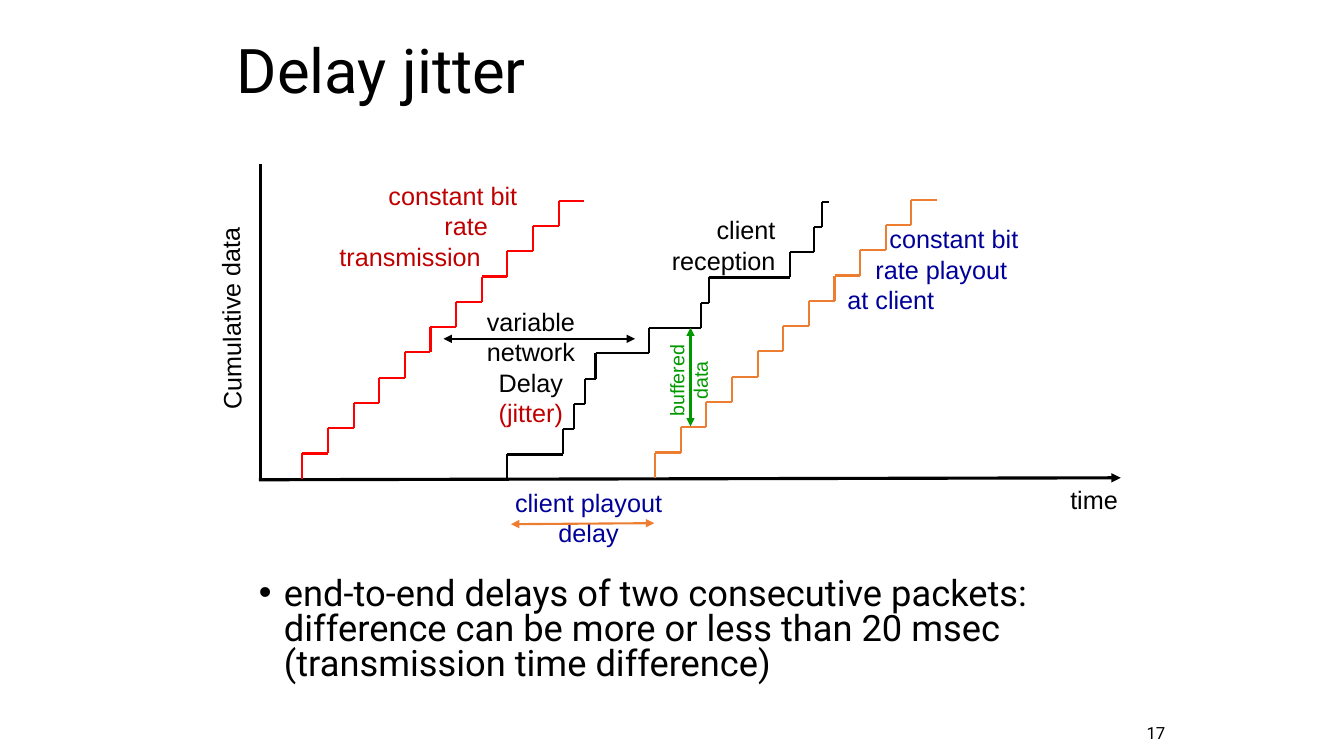
"""Builds the delay jitter slide with its three cumulative data staircases."""
from dataclasses import dataclass

from lxml import etree
from pptx import Presentation
from pptx import util as u
from pptx.dml.color import RGBColor
from pptx.enum import shapes, text
from pptx.oxml.ns import qn


@dataclass(frozen=True)
class Theme:
    black: str = "000000"
    crimson: str = "C00000"
    red: str = "FF0000"
    orange: str = "ED7D31"
    navy: str = "000099"
    green: str = "009900"
    heading_font: str = "Roboto"
    label_font: str = "Arial"
    title_size: float = 44
    body_size: float = 25.9
    label_size: float = 18
    small_size: float = 14
    number_size: float = 12
    axis_width: float = 2.25
    line_width: float = 1.5


LEFT, CENTER, RIGHT = text.PP_ALIGN.LEFT, text.PP_ALIGN.CENTER, text.PP_ALIGN.RIGHT


class SlideBuilder:
    def __init__(self, slide, theme):
        self.slide = slide
        self.theme = theme

    def format_paragraph(self, paragraph, font_name, size, color, align=LEFT, spacing=None):
        paragraph.alignment = align
        paragraph.line_spacing = spacing
        paragraph.font.name = font_name
        paragraph.font.size = u.Pt(size)
        paragraph.font.color.rgb = RGBColor.from_string(color)

    def text_box(self, left, top, width, height):
        shape = self.slide.shapes.add_textbox(u.Pt(left), u.Pt(top), u.Pt(width), u.Pt(height))
        shape.text_frame.word_wrap = True
        return shape

    def title(self, wording, left, top, width, height):
        shape = self.slide.shapes.title
        shape.left, shape.top = u.Pt(left), u.Pt(top)
        shape.width, shape.height = u.Pt(width), u.Pt(height)
        frame = shape.text_frame
        frame.text = wording
        frame.auto_size = text.MSO_AUTO_SIZE.NONE
        frame.vertical_anchor = text.MSO_ANCHOR.MIDDLE
        self.format_paragraph(frame.paragraphs[0], self.theme.heading_font,
                              self.theme.title_size, self.theme.black, spacing=0.9)

    def label(self, lines, left, top, width, height, color, align=LEFT, size=None, rotation=0):
        size = size or self.theme.label_size
        shape = self.text_box(left, top, width, height)
        shape.rotation = rotation
        frame = shape.text_frame
        frame.text = "\n".join(wording for wording, indent in lines)
        for paragraph, (wording, indent) in zip(frame.paragraphs, lines):
            if indent:
                paragraph._p.get_or_add_pPr().set("marL", str(u.Pt(indent)))
            self.format_paragraph(paragraph, self.theme.label_font, size, color,
                                  align, u.Pt(1.2 * size))
        return frame

    def bullet(self, wording, left, top, width, height, indent):
        paragraph = self.text_box(left, top, width, height).text_frame.paragraphs[0]
        paragraph.text = wording
        properties = paragraph._p.get_or_add_pPr()
        properties.set("marL", str(u.Pt(indent)))
        properties.set("indent", str(-u.Pt(indent)))
        etree.SubElement(properties, qn("a:buFont"), typeface=self.theme.label_font)
        etree.SubElement(properties, qn("a:buChar"), char="•")
        self.format_paragraph(paragraph, self.theme.heading_font, self.theme.body_size,
                              self.theme.black, spacing=0.8)

    def slide_number(self, number, left, top, width, height):
        frame = self.text_box(left, top, width, height).text_frame
        frame.text = str(number)
        frame.vertical_anchor = text.MSO_ANCHOR.MIDDLE
        self.format_paragraph(frame.paragraphs[0], self.theme.heading_font,
                              self.theme.number_size, self.theme.black, RIGHT)

    def line(self, start, end, color, width=None, arrows=()):
        connector = self.slide.shapes.add_connector(
            shapes.MSO_CONNECTOR.STRAIGHT, *(u.Pt(value) for value in (*start, *end)))
        connector.line.color.rgb = RGBColor.from_string(color)
        connector.line.width = u.Pt(width or self.theme.line_width)
        outline = connector.line._get_or_add_ln()
        for arrow in arrows:
            etree.SubElement(outline, qn(f"a:{arrow}"), type="triangle")
        etree.SubElement(connector._element.spPr, qn("a:effectLst"))

    def staircase(self, x, y, rise, runs, color):
        for run in runs:
            self.line((x, y), (x, y - rise), color)
            y -= rise
            self.line((x, y), (x + run, y), color)
            x += run


def main():
    presentation = Presentation()
    presentation.slide_width, presentation.slide_height = u.Pt(960), u.Pt(540)
    slide = presentation.slides.add_slide(presentation.slide_layouts[5])
    theme = Theme()
    builder = SlideBuilder(slide, theme)
    both_ends = ("headEnd", "tailEnd")
    rise = 18.06
    constant_runs = [18.3] * 11
    reception_runs = [39.6, 8, 8, 7.4, 38, 37.5, 5.8, 57.6, 17.2, 5.8, 5]

    builder.title("Delay jitter", 162, 18, 643, 68.4)

    builder.line((185.8, 117.4), (185.8, 342), theme.black, theme.axis_width)
    builder.line((185, 342.7), (800.6, 341.3), theme.black, theme.axis_width, ("tailEnd",))
    builder.label([("Cumulative data", 0)], 87.8, 208.1, 154, 28.8, theme.black, rotation=269.4)
    builder.label([("time", 0)], 757.4, 342.7, 60, 28.8, theme.black)

    builder.label([("constant bit", 35), ("rate", 75), ("transmission", 0)],
                  235.4, 125.3, 147, 72.7, theme.crimson)
    builder.staircase(216, 342, rise, constant_runs, theme.red)

    builder.staircase(362.4, 342.7, rise, reception_runs, theme.black)
    delay = builder.label([("variable", 0), ("network", 0), ("Delay", 0), ("(jitter)", 0)],
                          334.2, 215.3, 90, 94.3, theme.black, CENTER)
    delay.paragraphs[-1].font.color.rgb = RGBColor.from_string(theme.crimson)
    builder.line((316.8, 242), (453.6, 242), theme.black, arrows=both_ends)
    builder.label([("client", 0), ("reception", 0)],
                  461, 149.8, 100, 51.1, theme.black, RIGHT)

    builder.staircase(468, 341.3, rise, constant_runs, theme.orange)
    builder.label([("constant bit", 35), ("rate playout", 25), ("at client", 5)],
                  593.3, 156.2, 147, 72.7, theme.navy)
    builder.label([("client playout", 0), ("delay", 0)],
                  354.2, 344.2, 132.5, 50.4, theme.navy, CENTER)
    builder.line((365, 374.4), (467.3, 373.7), theme.orange, arrows=both_ends)

    builder.line((493.2, 304.6), (493.2, 234), theme.green, arrows=both_ends)
    builder.label([("buffered", 0), ("data", 0)], 451.8, 251.3, 80, 41,
                  theme.green, CENTER, theme.small_size, 270)

    builder.bullet("end-to-end delays of two consecutive packets: difference can be more "
                   "or less than 20 msec (transmission time difference)",
                   177.8, 409.7, 612, 87.8, 18)
    builder.slide_number(17, 785.5, 512.6, 54, 21.6)

    presentation.save("out.pptx")


if __name__ == "__main__":
    main()
